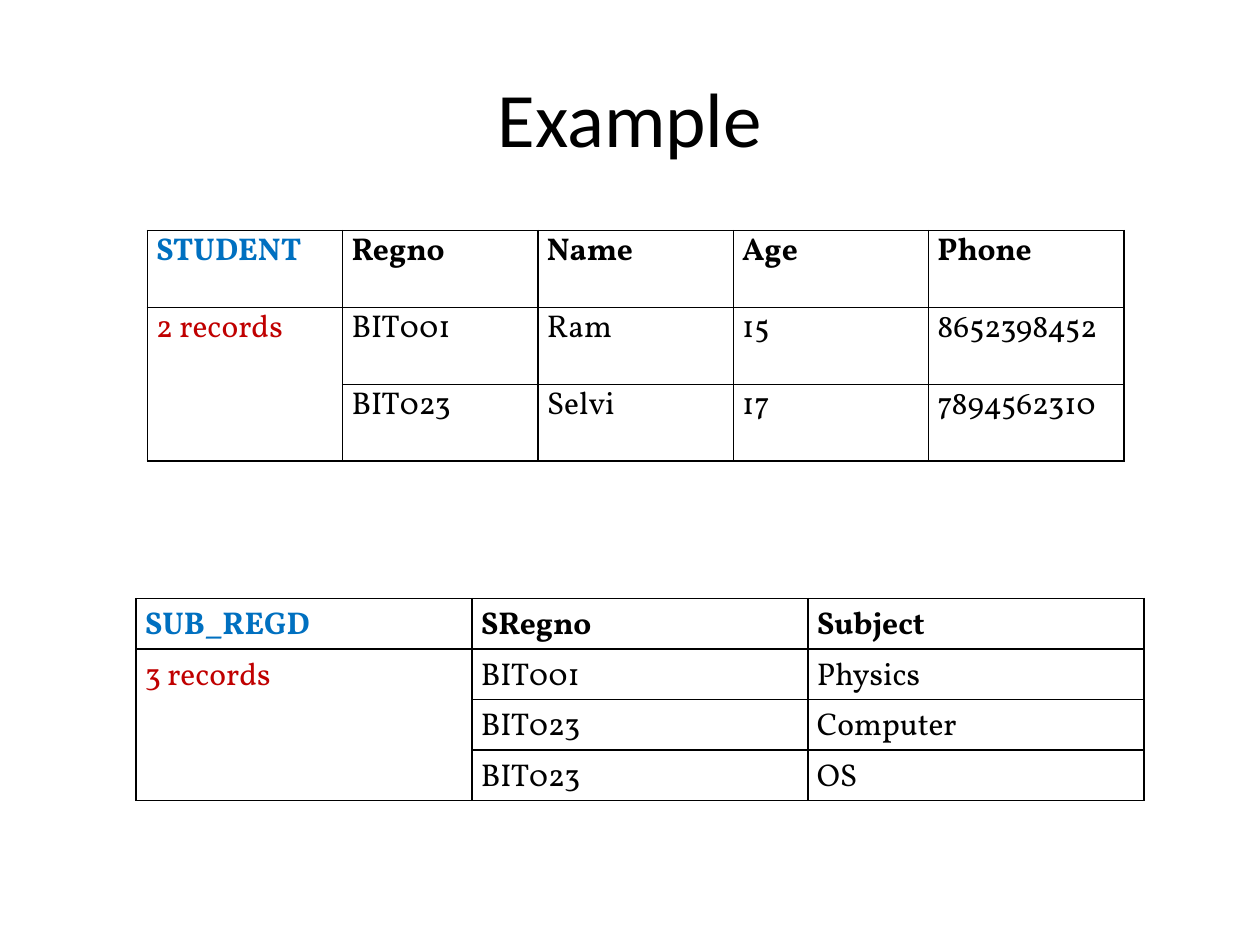
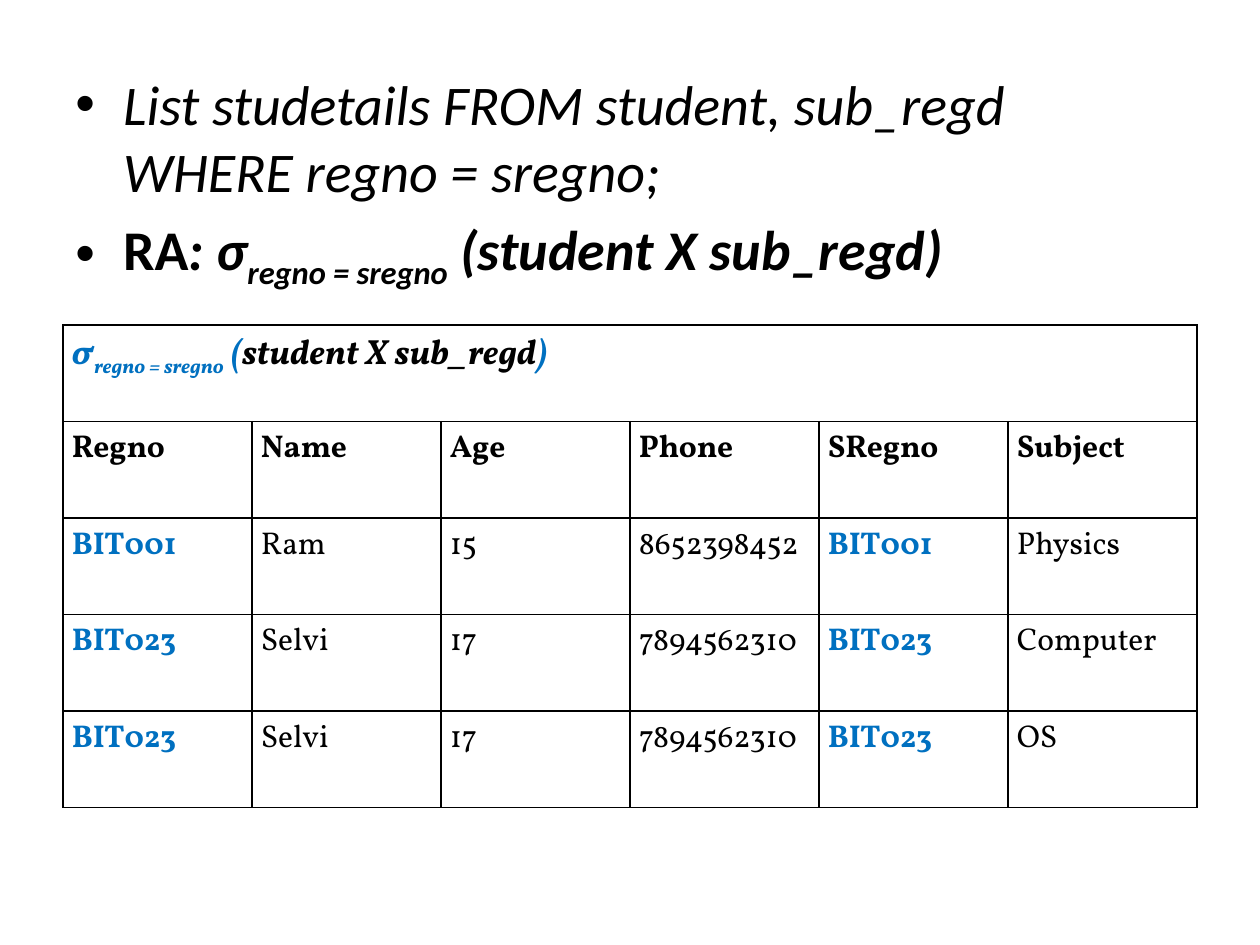
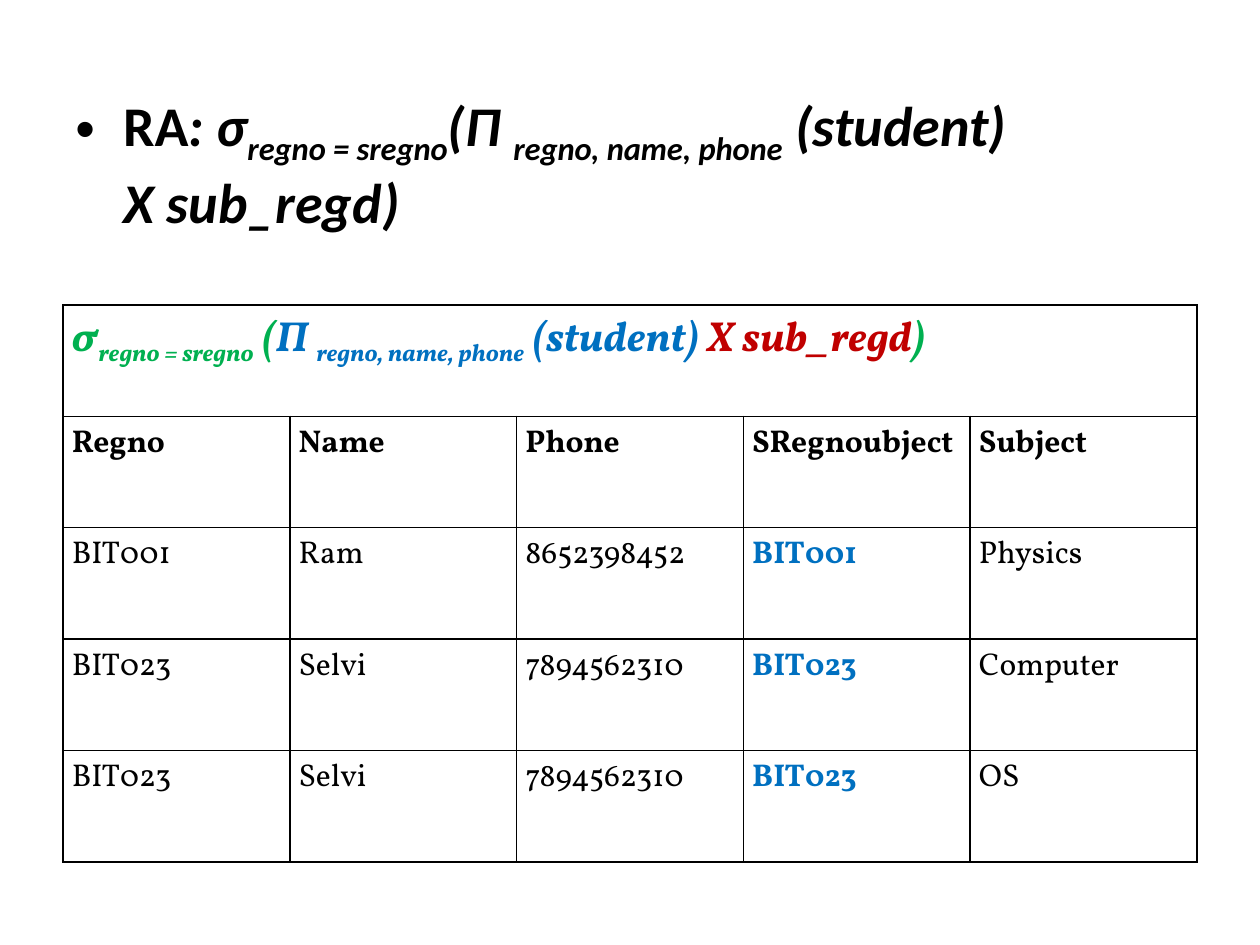
from dataclasses import dataclass

from lxml import etree
from pptx import Presentation
from pptx.dml.color import RGBColor
from pptx.enum.text import MSO_ANCHOR, PP_ALIGN
from pptx.oxml.ns import qn
from pptx.util import Inches, Pt

# Shared look
BLACK, WHITE = "000000", "FFFFFF"
BLUE, RED, GREEN = "0070C0", "C00000", "00B050"
SANS, SERIF = "Calibri", "Vollkorn"
NB = chr(160)  # no-break space

# Data shown in the tables
STUDENTS = [
    ("BIT001", "Ram", "15", "8652398452"),
    ("BIT023", "Selvi", "17", "7894562310"),
]
SUBJECTS = [("BIT001", "Physics"), ("BIT023", "Computer"), ("BIT023", "OS")]
JOINED = [s + r for s in STUDENTS for r in SUBJECTS if s[0] == r[0]]


@dataclass
class Run:
    text: str
    color: str = BLACK
    bold: bool = False
    italic: bool = False
    sub: bool = False


@dataclass
class Grid:
    """A table; merge holds the first and last cell of the joined area."""
    box: tuple
    rows: list
    merge: tuple
    head: int = 0
    keys: tuple = ()
    size: int = 18
    pad: float = 0.05


def paint(value: str) -> RGBColor:
    return RGBColor.from_string(value)


def math_run(text: str, color: str = BLACK, sub: bool = False) -> Run:
    return Run(text, color, True, True, sub)


def write(para, runs: list, size: int, face: str) -> None:
    for item in runs:
        run = para.add_run()
        run.text = item.text
        form = {"name": face, "size": Pt(size), "bold": item.bold, "italic": item.italic}
        for name, value in form.items():
            setattr(run.font, name, value)
        run.font.color.rgb = paint(item.color)
        if item.sub:
            run._r.get_or_add_rPr().set("baseline", "-25000")


def add_frame(slide, box: tuple):
    frame = slide.shapes.add_textbox(*map(Inches, box)).text_frame
    frame.word_wrap = True
    return frame


def add_title(slide, text: str) -> None:
    frame = add_frame(slide, (0.5, 0.3, 9, 1.25))
    frame.vertical_anchor = MSO_ANCHOR.MIDDLE
    para = frame.paragraphs[0]
    para.alignment = PP_ALIGN.CENTER
    write(para, [Run(text)], 44, SANS)


def add_body(slide, box: tuple, items: list) -> None:
    frame = add_frame(slide, box)
    for i, runs in enumerate(items):
        para = frame.add_paragraph() if i else frame.paragraphs[0]
        props = para._p.get_or_add_pPr()
        props.set("marL", str(Inches(0.38)))
        props.set("indent", str(Inches(-0.38)))
        etree.SubElement(props, qn("a:buFont"), typeface="Arial")
        etree.SubElement(props, qn("a:buChar"), char="•")
        if i:
            para.space_before = Pt(6.4)
        write(para, runs, 32, SANS)


def dress(cell, pad: float) -> None:
    """Set the margins, black borders and white fill of a cell."""
    form = {"margin_left": 0.07, "margin_right": 0.07, "margin_top": pad, "margin_bottom": pad}
    for name, value in form.items():
        setattr(cell, name, Inches(value))
    props = cell._tc.get_or_add_tcPr()
    for side in ("lnL", "lnR", "lnT", "lnB"):
        line = etree.SubElement(props, qn(f"a:{side}"), w=str(Pt(1)))
        fill = etree.SubElement(line, qn("a:solidFill"))
        etree.SubElement(fill, qn("a:srgbClr"), val=BLACK)
    cell.fill.solid()
    cell.fill.fore_color.rgb = paint(WHITE)


def add_grid(slide, grid: Grid) -> None:
    count = max(map(len, grid.rows))
    table = slide.shapes.add_table(len(grid.rows), count, *map(Inches, grid.box)).table
    table.first_row = table.horz_banding = False
    for cell in table.iter_cells():
        dress(cell, grid.pad)
    for r, row in enumerate(grid.rows):
        for c, item in enumerate(row):
            if not item:
                continue
            if isinstance(item, str):
                key = r > grid.head and c in grid.keys
                item = [Run(item, BLUE if key else BLACK, key or r == grid.head)]
            para = table.cell(r, c).text_frame.paragraphs[0]
            para.space_after = Pt(6)
            write(para, item, grid.size if r < grid.head else 18, SERIF)
    first, last = grid.merge
    table.cell(*first).merge(table.cell(*last))


def label(name: str, note: str, rows: list) -> list:
    """Put the table name and record count in a column before the rows."""
    side = [[Run(name, BLUE, True)], [Run(note, RED)]] + [""] * (len(rows) - 2)
    return [(cell, *row) for cell, row in zip(side, rows)]


def main() -> None:
    deck = Presentation()
    deck.slide_width, deck.slide_height = Inches(10), Inches(7.5)
    first, second, third = [deck.slides.add_slide(deck.slide_layouts[6]) for _ in range(3)]

    # Slide 1: the two source tables
    add_title(first, "Example")
    rows = label("STUDENT", "2 records", [("Regno", "Name", "Age", "Phone"), *STUDENTS])
    add_grid(first, Grid((1.17, 1.83, 7.75, 1.83), rows, ((1, 0), (2, 0)), pad=0))
    rows = label("SUB_REGD", "3 records", [("SRegno", "Subject"), *SUBJECTS])
    add_grid(first, Grid((1.08, 4.75, 8, 1.6), rows, ((1, 0), (3, 0))))

    # Slide 2: selection on the product
    add_body(second, (0.5, 0.5, 9, 6.5), [
        [Run("List studetails FROM student, sub_regd WHERE regno = sregno;", italic=True)],
        [Run("RA", bold=True), math_run(f":{NB}σ"), math_run("regno = sregno", sub=True),
         math_run(f"{NB}(student X sub_regd)")],
    ])
    top = [math_run("σ", BLUE), math_run("regno = sregno", BLUE, True), math_run(f"{NB}(", BLUE),
           math_run("student X sub_regd"), math_run(")", BLUE)]
    names = ("Regno", "Name", "Age", "Phone", "SRegno", "Subject")
    add_grid(second, Grid((0.5, 2.58, 9, 3.83), [[top], names, *JOINED],
                          ((0, 0), (0, 5)), head=1, keys=(0, 4), size=20))

    # Slide 3: projection before the product
    add_body(third, (0.5, 0.67, 9, 6.03), [
        [Run("RA", bold=True), math_run(": σ"), math_run("regno = sregno", sub=True),
         math_run(f"(Π{NB}"), math_run("regno, name, phone", sub=True),
         math_run(f"{NB}(student) X{NB}sub_regd)")],
    ])
    top = [math_run("σ", GREEN), math_run("regno = sregno", GREEN, True),
           math_run(f"{NB}(", GREEN), math_run(f"Π{NB}", BLUE),
           math_run("regno, name, phone", BLUE, True), math_run(f"{NB}(student)", BLUE),
           math_run(f"{NB}X sub_regd", RED), math_run(")", GREEN)]
    names = ("Regno", "Name", "Phone", "SRegnoubject", "Subject")
    rows = [row[:2] + row[3:] for row in JOINED]
    add_grid(third, Grid((0.5, 2.42, 9, 4.42), [[top], names, *rows],
                         ((0, 0), (0, 4)), head=1, keys=(3,), size=24))

    deck.save("out.pptx")


if __name__ == "__main__":
    main()
